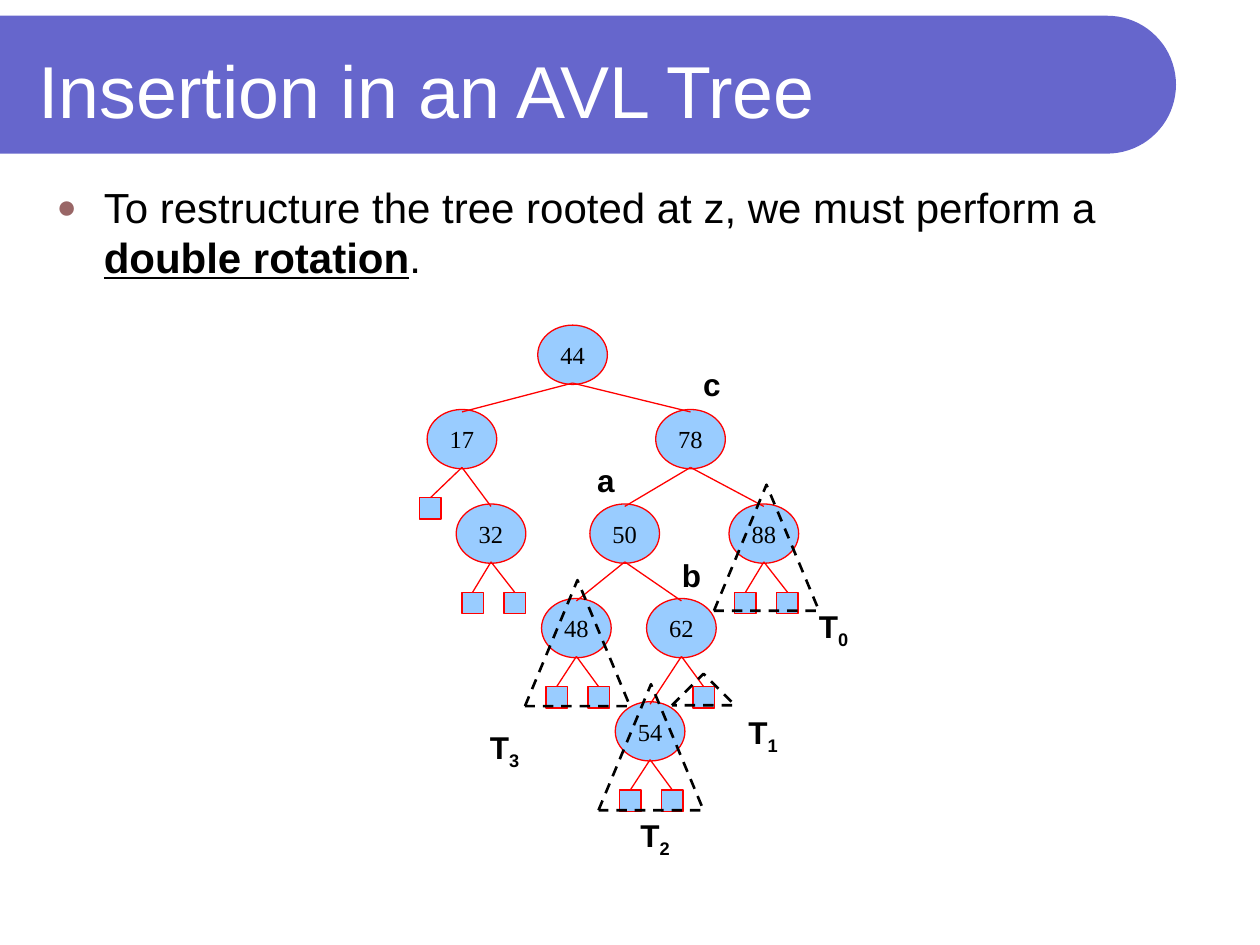
from math import cos, pi, sin

from lxml.etree import SubElement
from pptx import Presentation
from pptx.dml.color import RGBColor
from pptx.enum.dml import MSO_LINE
from pptx.enum.shapes import MSO_CONNECTOR, MSO_SHAPE
from pptx.enum.text import MSO_ANCHOR, PP_ALIGN
from pptx.oxml.ns import qn
from pptx.util import Pt

COLORS = {"banner": "6666CC", "title": "FFFFFF", "text": "000000", "bullet": "996666",
          "node": "99CCFF", "edge": "FF0000", "subtree": "000000"}

# Content
TITLE = "Insertion in an AVL Tree"
BODY = [("To restructure the tree rooted at z, we must perform a ", {}),
        ("double rotation", {"bold": True, "underline": True}),
        (".", {})]

# Node: centre x and top
NODES = {"44": (327.2, 185.8), "17": (264, 234), "78": (394.6, 234),
         "32": (280.6, 288), "50": (357, 288), "88": (436.5, 288),
         "48": (329.4, 342), "62": (389.4, 342), "54": (371.5, 401)}
CHILDREN = [("44", "17"), ("44", "78"), ("17", "32"), ("78", "50"), ("78", "88"),
            ("50", "48"), ("50", "62"), ("62", "54")]
# Parent: horizontal offsets of its empty leaves
LEAVES = {"17": [-18], "32": [-10.5, 13.5], "88": [-10.5, 13.5],
          "48": [-11.3, 12.7], "62": [12.7], "54": [-11.3, 12.7]}
# Left, top, width, height
SUBTREES = [(300, 331.5, 60, 72), (342, 391, 60, 72),
            (408, 277, 60, 72), (384, 385, 36, 18)]
# Label, subscript, left, top
LABELS = [("c", "", 394.6, 205.2), ("b", "", 382.6, 314), ("a", "", 334, 260),
          ("T", "3", 272.9, 412.6), ("T", "2", 358.8, 463),
          ("T", "1", 420.6, 404), ("T", "0", 460.8, 343.5)]

NODE_WIDTH, NODE_HEIGHT, LEAF_SIZE = 39.8, 33.9, 12.2
EDGE_START, EDGE_END, LEAF_DROP = 33.1, 1.4, 50.4
BANNER_TOP, BANNER_RIGHT, BANNER_RADIUS = 9, 672, 39.4


def rgb(name):
    return RGBColor.from_string(COLORS[name])


def write(para, text, font="Arial", size=18, color="text", bold=False,
          underline=False, baseline=None):
    span = para.add_run()
    span.text = text
    span.font.name = font
    span.font.size = Pt(size)
    span.font.bold = bold
    span.font.underline = underline
    span.font.color.rgb = rgb(color)
    if baseline:
        span.font._element.set("baseline", str(baseline))


def text_box(left, top, width, height, wrap=True, anchor=MSO_ANCHOR.TOP):
    box = page.shapes.add_textbox(Pt(left), Pt(top), Pt(width), Pt(height))
    box.text_frame.word_wrap = wrap
    box.text_frame.vertical_anchor = anchor
    return box.text_frame.paragraphs[0]


def add_shape(kind, left, top, width, height, fill="node", line="edge", weight=0.75):
    shape = page.shapes.add_shape(kind, Pt(left), Pt(top), Pt(width), Pt(height))
    shape.shadow.inherit = False
    if fill:
        shape.fill.solid()
        shape.fill.fore_color.rgb = rgb(fill)
    else:
        shape.fill.background()
    shape.line.color.rgb = rgb(line)
    shape.line.width = Pt(weight)
    return shape


def add_edge(x1, y1, x2, y2):
    edge = page.shapes.add_connector(MSO_CONNECTOR.STRAIGHT, Pt(x1), Pt(y1), Pt(x2), Pt(y2))
    edge.line.color.rgb = rgb("edge")
    edge.line.width = Pt(0.75)
    SubElement(edge._element.spPr, qn("a:effectLst"))


deck = Presentation()
deck.slide_width, deck.slide_height = Pt(720), Pt(540)
page = deck.slides.add_slide(deck.slide_layouts[6])

# Banner with a round right end
middle_x, middle_y = BANNER_RIGHT - BANNER_RADIUS, BANNER_TOP + BANNER_RADIUS
angles = [pi * step / 40 - pi / 2 for step in range(41)]
arc = [(Pt(middle_x + BANNER_RADIUS * cos(angle)), Pt(middle_y + BANNER_RADIUS * sin(angle)))
       for angle in angles]
builder = page.shapes.build_freeform(0, Pt(BANNER_TOP))
builder.add_line_segments(arc + [(0, Pt(BANNER_TOP + 2 * BANNER_RADIUS))], close=True)
banner = builder.convert_to_shape()
banner.shadow.inherit = False
banner.fill.solid()
banner.fill.fore_color.rgb = rgb("banner")
banner.line.fill.background()

# Title and bullet
write(text_box(15, 15, 631.5, 72, anchor=MSO_ANCHOR.MIDDLE), TITLE, size=42, color="title")
para = text_box(25.2, 100, 669, 414)
para.space_before = Pt(6)
properties = para._p.get_or_add_pPr()
properties.set("marL", str(Pt(27)))
properties.set("indent", str(Pt(-27)))
bullet_color = SubElement(properties, qn("a:buClr"))
SubElement(bullet_color, qn("a:srgbClr"), val=COLORS["bullet"])
SubElement(properties, qn("a:buSzPct"), val="80000")
SubElement(properties, qn("a:buFont"), typeface="Arial")
SubElement(properties, qn("a:buChar"), char="●")
for text, style in BODY:
    write(para, text, size=24, **style)

# Tree nodes
for key, (x, top) in NODES.items():
    node = add_shape(MSO_SHAPE.OVAL, x - NODE_WIDTH / 2, top, NODE_WIDTH, NODE_HEIGHT)
    node.text_frame.word_wrap = False
    node.text_frame.vertical_anchor = MSO_ANCHOR.MIDDLE
    para = node.text_frame.paragraphs[0]
    para.alignment = PP_ALIGN.CENTER
    write(para, key, font="Times New Roman", size=14)

# Leaves and edges
for parent, offsets in LEAVES.items():
    x, top = NODES[parent]
    for offset in offsets:
        add_shape(MSO_SHAPE.RECTANGLE, x + offset - LEAF_SIZE / 2, top + LEAF_DROP,
                  LEAF_SIZE, LEAF_SIZE)
        add_edge(x, top + EDGE_START, x + offset, top + LEAF_DROP)
for parent, child in CHILDREN:
    (x1, top1), (x2, top2) = NODES[parent], NODES[child]
    add_edge(x1, top1 + EDGE_START, x2, top2 + EDGE_END)

# Subtree outlines
for place in SUBTREES:
    triangle = add_shape(MSO_SHAPE.ISOSCELES_TRIANGLE, *place,
                         fill=None, line="subtree", weight=1.5)
    triangle.line.dash_style = MSO_LINE.DASH

# Labels
for text, subscript, left, top in LABELS:
    width, height = (31, 31.7) if subscript else (24.5, 28.8)
    para = text_box(left, top, width, height, wrap=not subscript)
    para.alignment = PP_ALIGN.CENTER
    write(para, text, bold=True)
    if subscript:
        write(para, subscript, bold=True, baseline=-25000)

deck.save("out.pptx")
